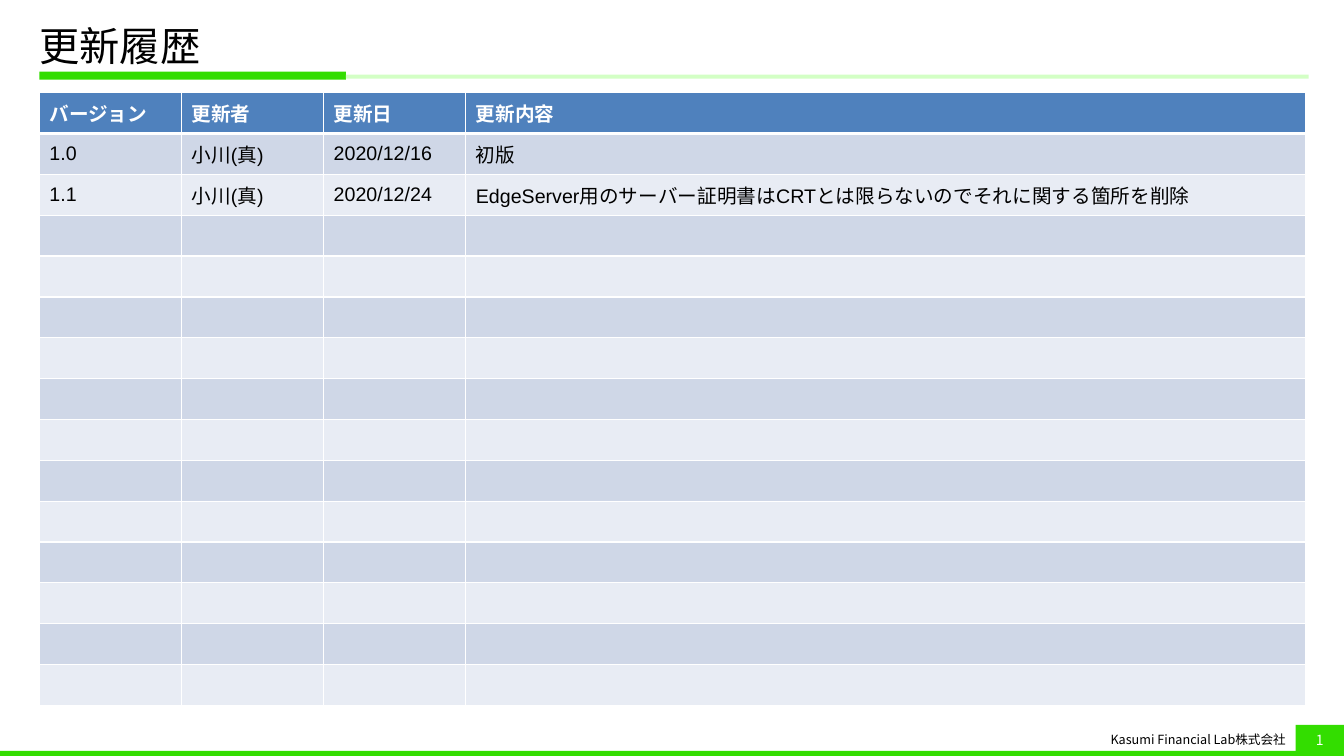
from lxml import etree
from pptx import Presentation
from pptx.dml.color import RGBColor
from pptx.enum.shapes import MSO_SHAPE
from pptx.enum.text import MSO_ANCHOR, PP_ALIGN
from pptx.oxml.ns import qn
from pptx.util import Inches, Pt

RECTANGLE = MSO_SHAPE.RECTANGLE
MIDDLE = MSO_ANCHOR.MIDDLE
LEFT, CENTER, RIGHT = PP_ALIGN.LEFT, PP_ALIGN.CENTER, PP_ALIGN.RIGHT

GREEN = RGBColor(0x33, 0xDD, 0x00)
PALE_GREEN = RGBColor(0xD3, 0xFF, 0xC5)
HEADER_BLUE = RGBColor(0x4F, 0x81, 0xBD)
BAND_DARK = RGBColor(0xCF, 0xD7, 0xE7)
BAND_LIGHT = RGBColor(0xE8, 0xEC, 0xF4)
BLACK = RGBColor(0, 0, 0)
WHITE = RGBColor(0xFF, 0xFF, 0xFF)

JAPANESE_FONT = "Noto Sans CJK JP"
LATIN_FONT = "Arial"

HISTORY = [
    ("バージョン", "更新者", "更新日", "更新内容"),
    ("1.0", "小川(真)", "2020/12/16", "初版"),
    ("1.1", "小川(真)", "2020/12/24",
     "EdgeServer用のサーバー証明書はCRTとは限らないのでそれに関する箇所を削除"),
]
ROW_COUNT = 15
COLUMN_WIDTHS = [1.41, 1.41, 1.41, 8.33]


def write(frame, text, size, color=BLACK, font=JAPANESE_FONT, bold=False, align=LEFT):
    """Put one formatted run in a text frame, with a Japanese fallback font."""
    frame.word_wrap = True
    paragraph = frame.paragraphs[0]
    paragraph.alignment = align
    run = paragraph.add_run()
    run.text = text
    run.font.size = Pt(size)
    run.font.bold = bold
    run.font.name = font
    run.font.color.rgb = color
    east_asian = etree.SubElement(run.font._element, qn("a:ea"))
    east_asian.set("typeface", JAPANESE_FONT)


def set_borders(cell, top, bottom):
    """Draw white cell borders; top and bottom widths are in points."""
    properties = cell._tc.get_or_add_tcPr()
    sides = [("a:lnL", 1), ("a:lnR", 1), ("a:lnT", top), ("a:lnB", bottom)]
    for position, (side, width) in enumerate(sides):
        line = etree.Element(qn(side), w=str(Pt(width)))
        fill = etree.SubElement(line, qn("a:solidFill"))
        etree.SubElement(fill, qn("a:srgbClr"), val=str(WHITE))
        properties.insert(position, line)


prs = Presentation()
prs.slide_width = Inches(13.33)
prs.slide_height = Inches(7.5)
slide = prs.slides.add_slide(prs.slide_layouts[5])

# Title
title = slide.shapes.title
title.left, title.top = Inches(0.39), Inches(0.2)
title.width, title.height = Inches(12.59), Inches(0.56)
title_frame = title.text_frame
title_frame.margin_left, title_frame.margin_right = 0, Inches(0.16)
title_frame.vertical_anchor = MIDDLE
write(title_frame, "更新履歴", 28.8)
title_frame.paragraphs[0].line_spacing = 0.9

# Title rule, bottom bar and page number block
bars = [
    (0.39, 0.71, 3.04, 0.08, GREEN),
    (3.43, 0.74, 9.55, 0.04, PALE_GREEN),
    (0, 7.45, 13.33, 0.05, GREEN),
    (12.85, 7.19, 0.48, 0.31, GREEN),
]
for left, top, width, height, color in bars:
    bar = slide.shapes.add_shape(
        RECTANGLE, Inches(left), Inches(top), Inches(width), Inches(height))
    bar.shadow.inherit = False
    bar.fill.solid()
    bar.fill.fore_color.rgb = color
    bar.line.fill.background()
page_number = bar.text_frame
page_number.vertical_anchor = MIDDLE
write(page_number, "1", 10, color=WHITE, align=CENTER)

# Company name in the footer
company = slide.shapes.add_textbox(
    Inches(10.86), Inches(7.2), Inches(1.99), Inches(0.27)).text_frame
company.vertical_anchor = MIDDLE
write(company, "Kasumi Financial Lab株式会社", 9, align=RIGHT)

# Revision history
history = slide.shapes.add_table(
    ROW_COUNT, len(COLUMN_WIDTHS),
    Inches(0.39), Inches(0.92), Inches(12.56), Inches(6.08)).table
for column, width in zip(history.columns, COLUMN_WIDTHS):
    column.width = Inches(width)

for row_index in range(ROW_COUNT):
    is_header = row_index == 0
    if is_header:
        row_fill = HEADER_BLUE
    else:
        row_fill = BAND_DARK if row_index % 2 else BAND_LIGHT
    for column_index in range(len(COLUMN_WIDTHS)):
        cell = history.cell(row_index, column_index)
        cell.vertical_anchor = MIDDLE
        cell.fill.solid()
        cell.fill.fore_color.rgb = row_fill
        set_borders(cell, top=3 if row_index == 1 else 1, bottom=3 if is_header else 1)
        if row_index < len(HISTORY):
            write(cell.text_frame, HISTORY[row_index][column_index], 14,
                  color=WHITE if is_header else BLACK, font=LATIN_FONT, bold=is_header)

prs.save("out.pptx")
